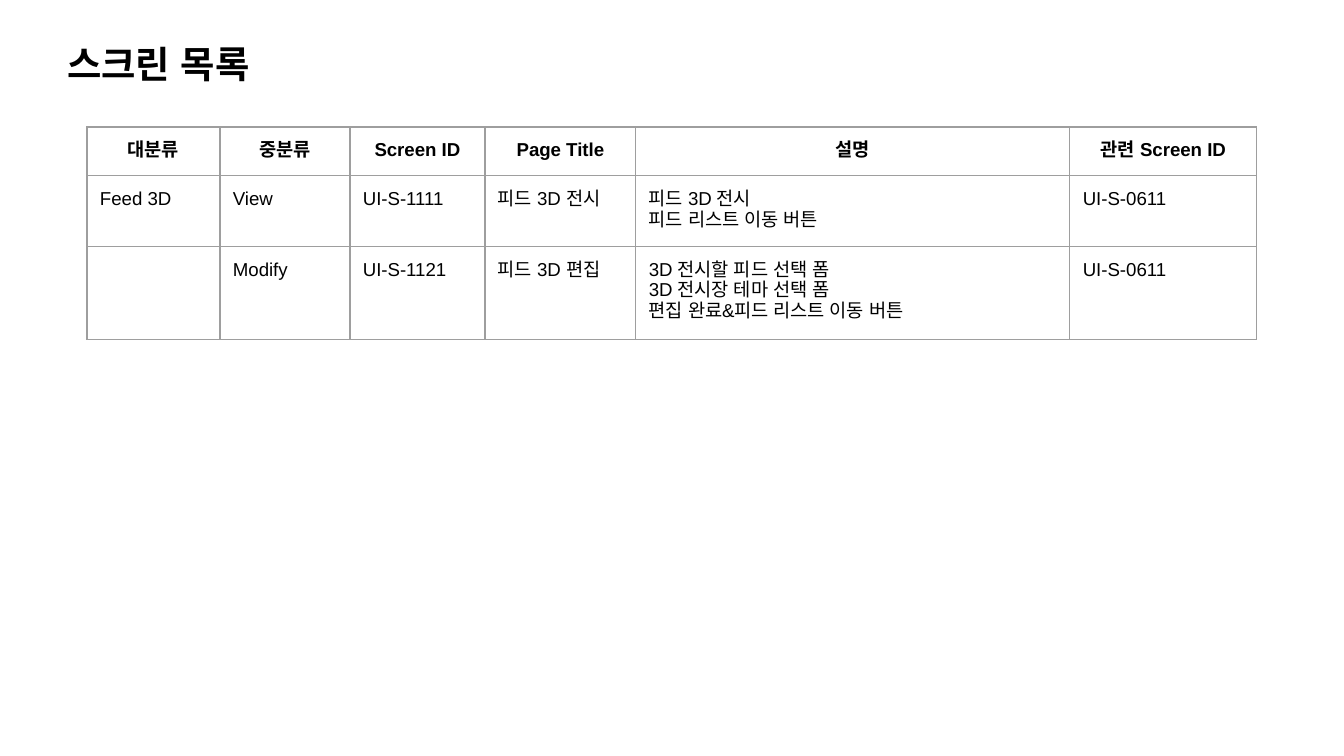
from lxml.etree import SubElement
from pptx import Presentation
from pptx.dml.color import RGBColor
from pptx.enum.text import MSO_ANCHOR as Anchor, MSO_AUTO_SIZE as AutoSize, PP_ALIGN as Align
from pptx.oxml.ns import qn
from pptx.util import Pt

# Content
TITLE = "스크린 목록"
HEADERS = ["대분류", "중분류", "Screen ID", "Page Title", "설명", "관련 Screen ID"]
SCREENS = [
    ["Feed 3D", "View", "UI-S-1111", "피드 3D 전시",
     ["피드 3D 전시", "피드 리스트 이동 버튼"], "UI-S-0611"],
    ["", "Modify", "UI-S-1121", "피드 3D 편집",
     ["3D 전시할 피드 선택 폼", "3D 전시장 테마 선택 폼",
      "편집 완료&피드 리스트 이동 버튼"], "UI-S-0611"],
]

# Look and layout, lengths in px
COLORS = {"text": "000000", "border": "9E9E9E"}
FONT = "Arial"
SLIDE_SIZE = (1344, 756)
TITLE_BOX = (54, 28, 626, 73)
TABLE_LEFT, TABLE_TOP = 87, 127
COLUMN_WIDTHS = [133, 130, 135, 151, 434, 187]
ROW_HEIGHT = 42
INSET = 13


def px(value):
    return round(value * 914400 / 134.4)


def add_text(paragraph, text, size, bold, align):
    paragraph.alignment = align
    run = paragraph.add_run()
    run.text = text
    run.font.size = Pt(size)
    run.font.bold = bold
    run.font.color.rgb = RGBColor.from_string(COLORS["text"])
    run.font.name = FONT
    SubElement(run.font._element, qn("a:ea"), typeface=FONT)


def set_insets(holder):
    holder.margin_left = holder.margin_right = px(INSET)
    holder.margin_top = holder.margin_bottom = px(INSET)


def set_borders(cell):
    properties = cell._tc.get_or_add_tcPr()
    for side in ("lnL", "lnR", "lnT", "lnB"):
        line = SubElement(properties, qn(f"a:{side}"), w=str(Pt(0.75)))
        fill = SubElement(line, qn("a:solidFill"))
        SubElement(fill, qn("a:srgbClr"), val=COLORS["border"])


def fill_cell(cell, content, bold, align):
    set_insets(cell)
    set_borders(cell)
    cell.fill.background()
    lines = content if isinstance(content, list) else [content]
    frame = cell.text_frame
    for index, line in enumerate(lines):
        paragraph = frame.add_paragraph() if index else frame.paragraphs[0]
        if line:
            add_text(paragraph, line, 10, bold, align)


presentation = Presentation()
presentation.slide_width, presentation.slide_height = map(px, SLIDE_SIZE)
slide = presentation.slides.add_slide(presentation.slide_layouts[5])

# Title
title = slide.shapes.title
title.left, title.top, title.width, title.height = map(px, TITLE_BOX)
frame = title.text_frame
frame.word_wrap = True
frame.auto_size = AutoSize.SHAPE_TO_FIT_TEXT
frame.vertical_anchor = Anchor.TOP
set_insets(frame)
add_text(frame.paragraphs[0], TITLE, 20, True, Align.LEFT)

# Screen table
rows = [HEADERS, *SCREENS]
table = slide.shapes.add_table(
    len(rows), len(HEADERS), px(TABLE_LEFT), px(TABLE_TOP),
    px(sum(COLUMN_WIDTHS)), px(ROW_HEIGHT * len(rows))).table
table.first_row = table.horz_banding = False
for column, width in zip(table.columns, COLUMN_WIDTHS):
    column.width = px(width)
for row_index, row in enumerate(rows):
    table.rows[row_index].height = px(ROW_HEIGHT)
    is_header = row_index == 0
    align = Align.CENTER if is_header else Align.LEFT
    for column_index, content in enumerate(row):
        fill_cell(table.cell(row_index, column_index), content, is_header, align)

presentation.save("out.pptx")
